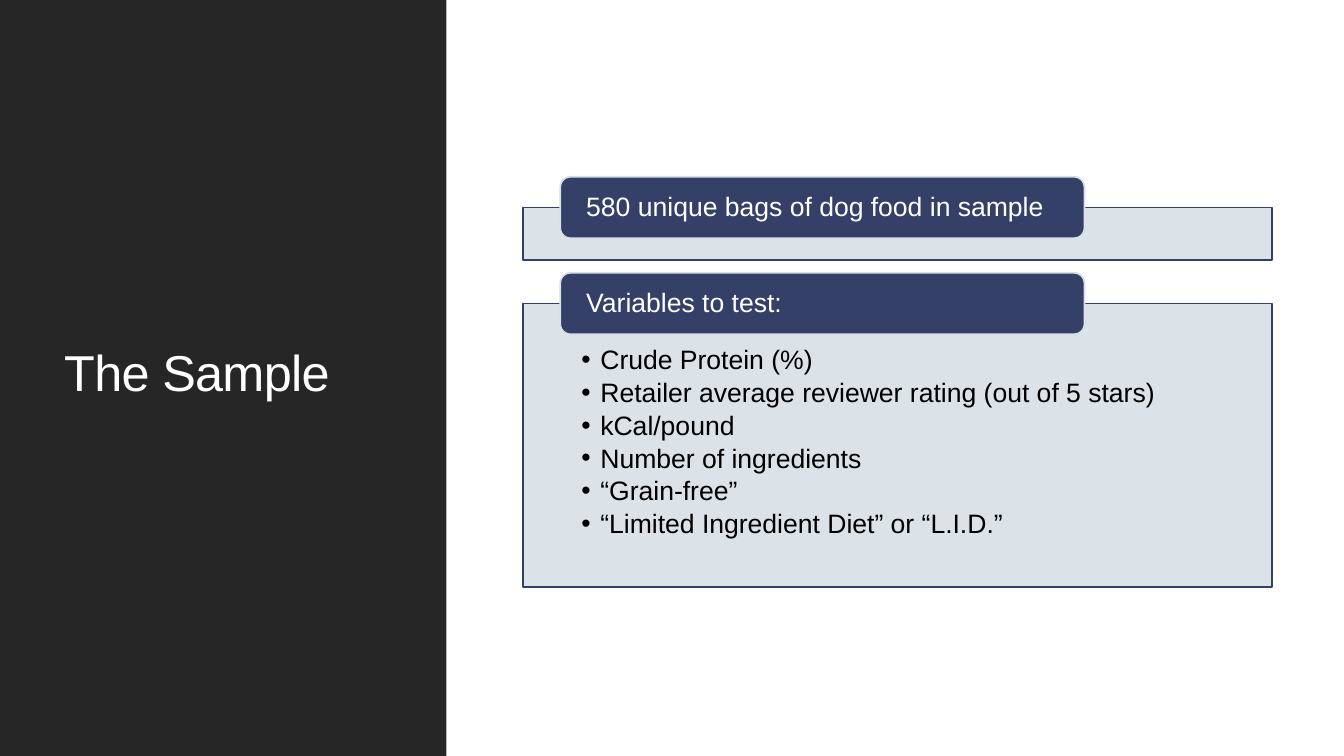
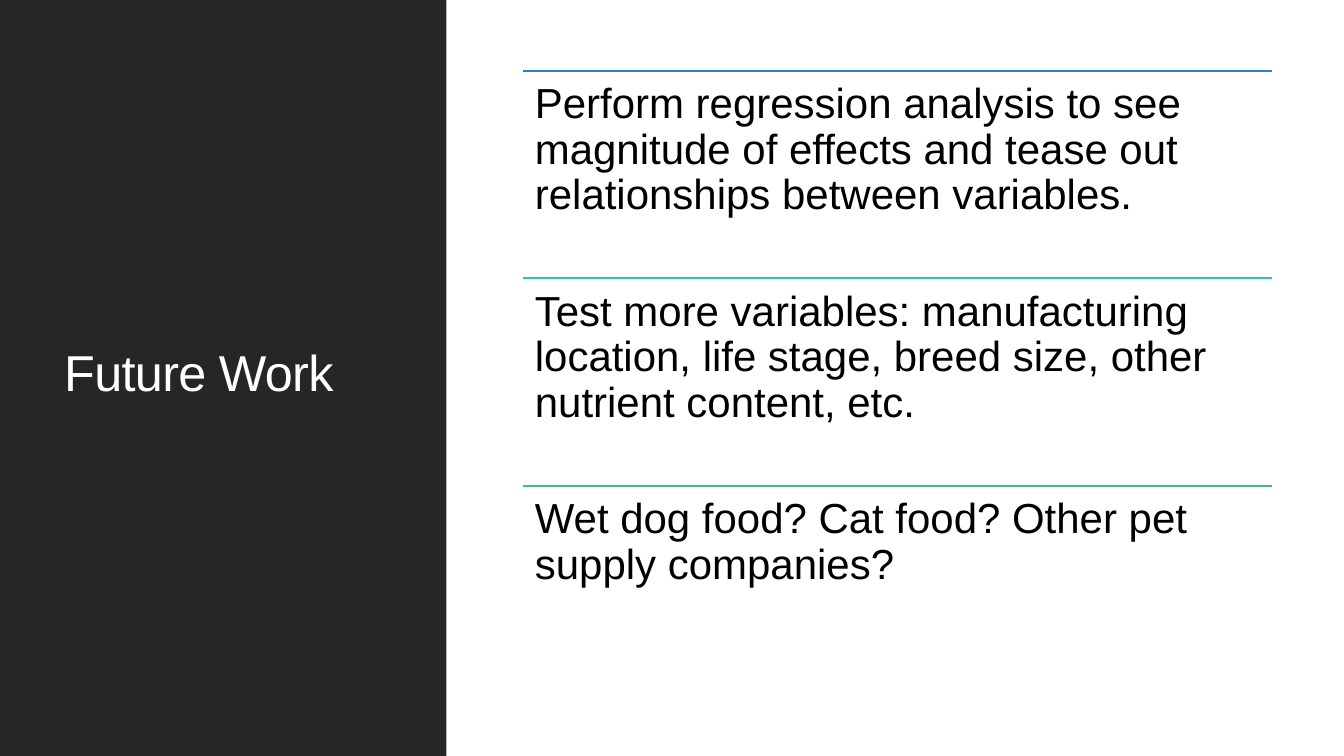
import pptx
import pptx.util
from lxml import etree
from pptx.dml.color import RGBColor
from pptx.enum.shapes import MSO_CONNECTOR, MSO_SHAPE
from pptx.enum.text import MSO_ANCHOR, PP_ALIGN
from pptx.oxml.ns import qn
from pptx.util import Cm, Pt

FONT = "Arial"
CHARCOAL = RGBColor(0x26, 0x26, 0x26)
WHITE = RGBColor(0xFF, 0xFF, 0xFF)
BLACK = RGBColor(0x00, 0x00, 0x00)
NAVY = RGBColor(0x34, 0x40, 0x68)
PALE_BLUE = RGBColor(0xD9, 0xE0, 0xE6)
BLUE = RGBColor(0x26, 0x83, 0xC6)
CYAN = RGBColor(0x28, 0xC4, 0xCC)
GREEN = RGBColor(0x42, 0xBA, 0x97)

SLIDE_WIDTH, SLIDE_HEIGHT = Cm(33.87), Cm(19.05)
SIDEBAR_WIDTH = Cm(11.25)
CONTENT_LEFT, CONTENT_WIDTH = Cm(13.18), Cm(18.87)
LINE_WIDTH = Pt(1.25)
LABEL_HEIGHT = Cm(1.55)

SAMPLE_SECTIONS = [
    # top and height of the panel, label, bullets
    (Cm(5.23), Cm(1.33), "580 unique bags of dog food in sample", []),
    (Cm(7.65), Cm(7.14), "Variables to test:", [
        "Crude Protein (%)",
        "Retailer average reviewer rating (out of 5 stars)",
        "kCal/pound",
        "Number of ingredients",
        "“Grain-free”",
        "“Limited Ingredient Diet” or “L.I.D.”",
    ]),
]
FUTURE_STEPS = [
    (BLUE, "Perform regression analysis to see magnitude of effects and tease "
           "out relationships between variables."),
    (CYAN, "Test more variables: manufacturing location, life stage, breed "
           "size, other nutrient content, etc."),
    (GREEN, "Wet dog food? Cat food? Other pet supply companies?"),
]


def add_block(slide, kind, left, top, width, height, fill, line=None):
    """Add a filled shape without shadow, outlined if a line colour is given."""
    shape = slide.shapes.add_shape(kind, left, top, width, height)
    shape.shadow.inherit = False
    shape.fill.solid()
    shape.fill.fore_color.rgb = fill
    if line is None:
        shape.line.fill.background()
    else:
        shape.line.color.rgb = line
        shape.line.width = LINE_WIDTH
    return shape


def set_opacity(shape, percent):
    color = shape.fill._xPr.find(qn("a:solidFill"))[0]
    etree.SubElement(color, qn("a:alpha"), val=str(percent * 1000))


def add_bullet(paragraph, indent):
    properties = paragraph._p.get_or_add_pPr()
    properties.set("marL", str(indent))
    properties.set("indent", str(-indent))
    etree.SubElement(properties, qn("a:buFont"), typeface=FONT)
    etree.SubElement(properties, qn("a:buChar"), char="•")


def write_text(shape, texts, size, color, insets, anchor=MSO_ANCHOR.TOP,
               space_after=0, bullet_indent=None):
    """Fill a shape with paragraphs; insets are left, top, right, bottom."""
    frame = shape.text_frame
    frame.word_wrap = True
    frame.vertical_anchor = anchor
    (frame.margin_left, frame.margin_top,
     frame.margin_right, frame.margin_bottom) = insets
    for index, text in enumerate(texts):
        paragraph = frame.paragraphs[0] if index == 0 else frame.add_paragraph()
        paragraph.text = text
        paragraph.alignment = PP_ALIGN.LEFT
        paragraph.line_spacing = 0.9
        paragraph.space_after = Pt(space_after)
        if bullet_indent is not None:
            add_bullet(paragraph, bullet_indent)
        paragraph.font.name = FONT
        paragraph.font.size = Pt(size)
        paragraph.font.color.rgb = color


def add_titled_slide(presentation, title):
    """Add a slide with the dark sidebar that carries its title."""
    slide = presentation.slides.add_slide(presentation.slide_layouts[6])
    add_block(slide, MSO_SHAPE.RECTANGLE, 0, 0, SIDEBAR_WIDTH, SLIDE_HEIGHT,
              CHARCOAL)
    box = slide.shapes.add_textbox(Cm(1.37), Cm(1.45), Cm(8.56), Cm(16.03))
    write_text(box, [title], 36, WHITE,
               (Cm(0.25), Cm(0.13), Cm(0.25), Cm(0.13)), MSO_ANCHOR.MIDDLE)
    run = box.text_frame.paragraphs[0].runs[0]
    run._r.get_or_add_rPr().set("spc", "-50")
    return slide


def add_section(slide, top, height, label_text, bullets):
    """Add a pale panel with a label straddling its top edge."""
    panel = add_block(slide, MSO_SHAPE.RECTANGLE, CONTENT_LEFT, top,
                      CONTENT_WIDTH, height, PALE_BLUE, NAVY)
    set_opacity(panel, 90)
    if bullets:
        write_text(panel, bullets, 19, BLACK,
                   (Cm(1.47), Cm(1.09), Cm(1.47), Cm(0.38)),
                   space_after=2.85, bullet_indent=Cm(0.48))
    label = add_block(slide, MSO_SHAPE.ROUNDED_RECTANGLE,
                      CONTENT_LEFT + Cm(0.94), top - LABEL_HEIGHT // 2,
                      Cm(13.21), LABEL_HEIGHT, NAVY, PALE_BLUE)
    write_text(label, [label_text], 19, WHITE, (Cm(0.58), 0, Cm(0.58), 0),
               MSO_ANCHOR.MIDDLE)


def add_rule(slide, top, color):
    rule = slide.shapes.add_connector(MSO_CONNECTOR.STRAIGHT, CONTENT_LEFT, top,
                                      CONTENT_LEFT + CONTENT_WIDTH, top)
    rule.line.color.rgb = color
    rule.line.width = LINE_WIDTH
    etree.SubElement(rule._element.spPr, qn("a:effectLst"))


def add_step(slide, top, height, color, text):
    """Add a coloured rule with a large statement below it."""
    add_rule(slide, top, color)
    box = slide.shapes.add_textbox(CONTENT_LEFT, top, CONTENT_WIDTH, height)
    write_text(box, [text], 30, BLACK, (Cm(0.3),) * 4)


def main():
    presentation = pptx.Presentation()
    presentation.slide_width = SLIDE_WIDTH
    presentation.slide_height = SLIDE_HEIGHT

    sample_slide = add_titled_slide(presentation, "The Sample")
    for section in SAMPLE_SECTIONS:
        add_section(sample_slide, *section)

    future_slide = add_titled_slide(presentation, "Future Work")
    step_height = Cm(5.23)
    for index, (color, text) in enumerate(FUTURE_STEPS):
        add_step(future_slide, Cm(1.78) + index * step_height, step_height,
                 color, text)

    presentation.save("out.pptx")


if __name__ == "__main__":
    main()
